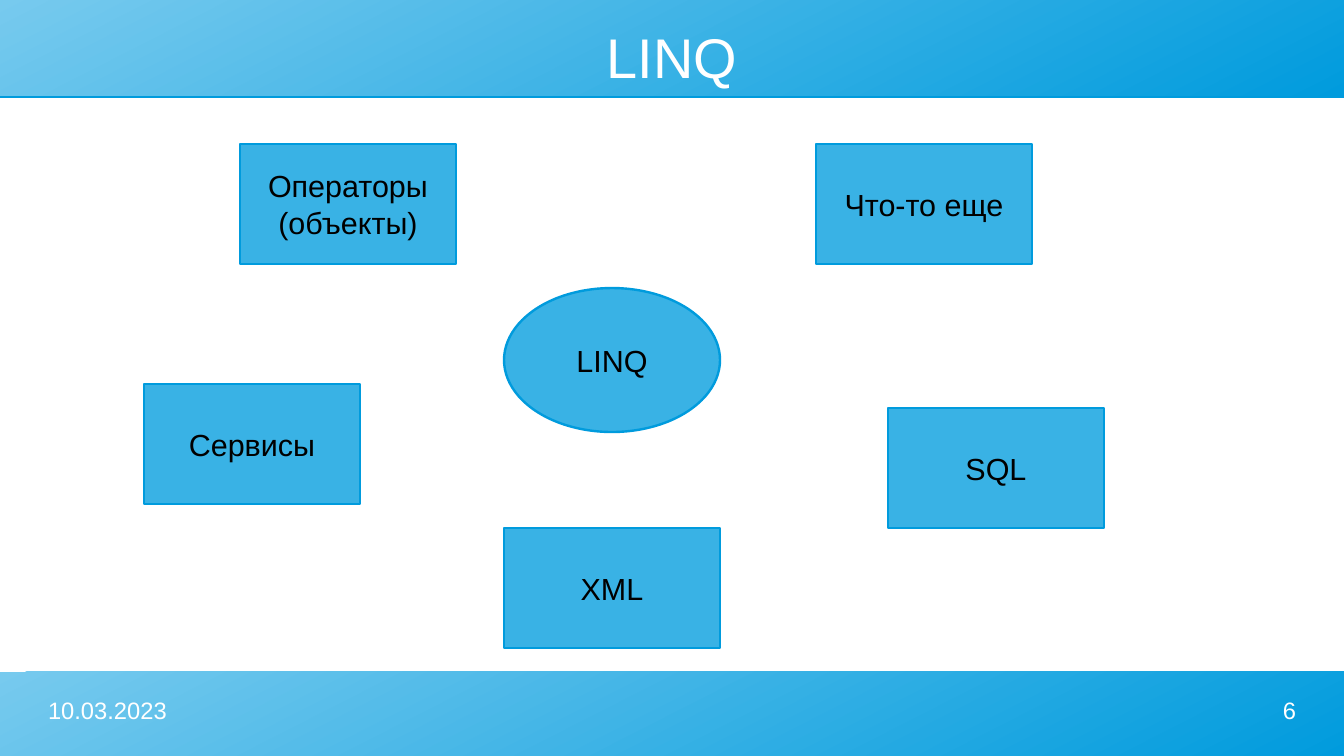
from dataclasses import dataclass

from lxml.etree import SubElement
from pptx import Presentation
from pptx.dml.color import RGBColor
from pptx.enum.shapes import MSO_SHAPE as Preset
from pptx.enum.text import MSO_ANCHOR as Anchor, PP_ALIGN as Align
from pptx.oxml.ns import qn
from pptx.util import Pt


@dataclass(frozen=True)
class Theme:
    font: str = "Arial"
    light: str = "77CAEE"
    middle: str = "39B2E5"
    dark: str = "009BDD"
    white: str = "FFFFFF"
    black: str = "000000"
    title_size: float = 33
    node_size: float = 18
    footer_size: float = 14
    line_width: float = 1.42


THEME = Theme()
STEP = 14.17  # points per grid unit; every position below counts in these
SLIDE_WIDTH, SLIDE_HEIGHT = 56, 31.5
NODE_WIDTH, NODE_HEIGHT, HUB_HEIGHT = 9, 5, 6

SOURCES = [
    ("Операторы\n(объекты)", 10, 6),
    ("Сервисы", 6, 16),
    ("XML", 21, 22),
    ("SQL", 37, 17),
    ("Что-то еще", 34, 6),
]


def grid(*units):
    return [Pt(unit * STEP) for unit in units]


def color(value):
    return RGBColor.from_string(value)


def write(frame, text, size, ink, align):
    frame.text = text
    for para in frame.paragraphs:
        para.alignment = align
        for span in para.runs:
            span.font.name = THEME.font
            span.font.size = Pt(size)
            span.font.color.rgb = color(ink)


def add_shadow(shape):
    """Give the shape a hard shadow just below its bottom edge."""
    effects = shape._element.spPr.find(qn("a:effectLst"))
    shadow = SubElement(effects, qn("a:outerShdw"), blurRad="0",
                        dist=str(Pt(0.9)), dir="5400000", algn="ctr",
                        rotWithShape="0")
    SubElement(shadow, qn("a:srgbClr"), val=THEME.dark)


def add_band(page, top, height):
    band = page.shapes.add_shape(Preset.RECTANGLE, *grid(0, top, SLIDE_WIDTH, height))
    band.shadow.inherit = False
    band.line.fill.background()
    band.fill.gradient()
    band.fill.gradient_angle = 360 - 63
    for stop, shade in zip(band.fill.gradient_stops, (THEME.light, THEME.dark)):
        stop.color.rgb = color(shade)
    add_shadow(band)


def add_label(page, text, bounds, size, align, anchor=Anchor.TOP):
    frame = page.shapes.add_textbox(*grid(*bounds)).text_frame
    frame.word_wrap = True
    frame.vertical_anchor = anchor
    frame.margin_left = frame.margin_right = Pt(0)
    frame.margin_top = frame.margin_bottom = Pt(0)
    write(frame, text, size, THEME.white, align)


def add_node(page, text, left, top, preset=Preset.RECTANGLE, height=NODE_HEIGHT):
    node = page.shapes.add_shape(preset, *grid(left, top, NODE_WIDTH, height))
    node.shadow.inherit = False
    node.fill.solid()
    node.fill.fore_color.rgb = color(THEME.middle)
    node.line.color.rgb = color(THEME.dark)
    node.line.width = Pt(THEME.line_width)
    node.text_frame.word_wrap = False
    node.text_frame.vertical_anchor = Anchor.MIDDLE
    write(node.text_frame, text, THEME.node_size, THEME.black, Align.CENTER)


def main():
    deck = Presentation()
    deck.slide_width, deck.slide_height = grid(SLIDE_WIDTH, SLIDE_HEIGHT)
    page = deck.slides.add_slide(deck.slide_layouts[6])

    add_band(page, 0, 4)
    add_band(page, 28, 3.5)
    add_label(page, "10.03.2023", (2, 29, 13, 2), THEME.footer_size, Align.LEFT)
    add_label(page, "6", (41, 29, 13, 2), THEME.footer_size, Align.RIGHT)
    add_label(page, "LINQ", (2, 1, 52, 2.65), THEME.title_size, Align.CENTER,
              Anchor.MIDDLE)

    for text, left, top in SOURCES:
        add_node(page, text, left, top)
    add_node(page, "LINQ", 21, 12, Preset.OVAL, HUB_HEIGHT)

    deck.save("out.pptx")


if __name__ == "__main__":
    main()
